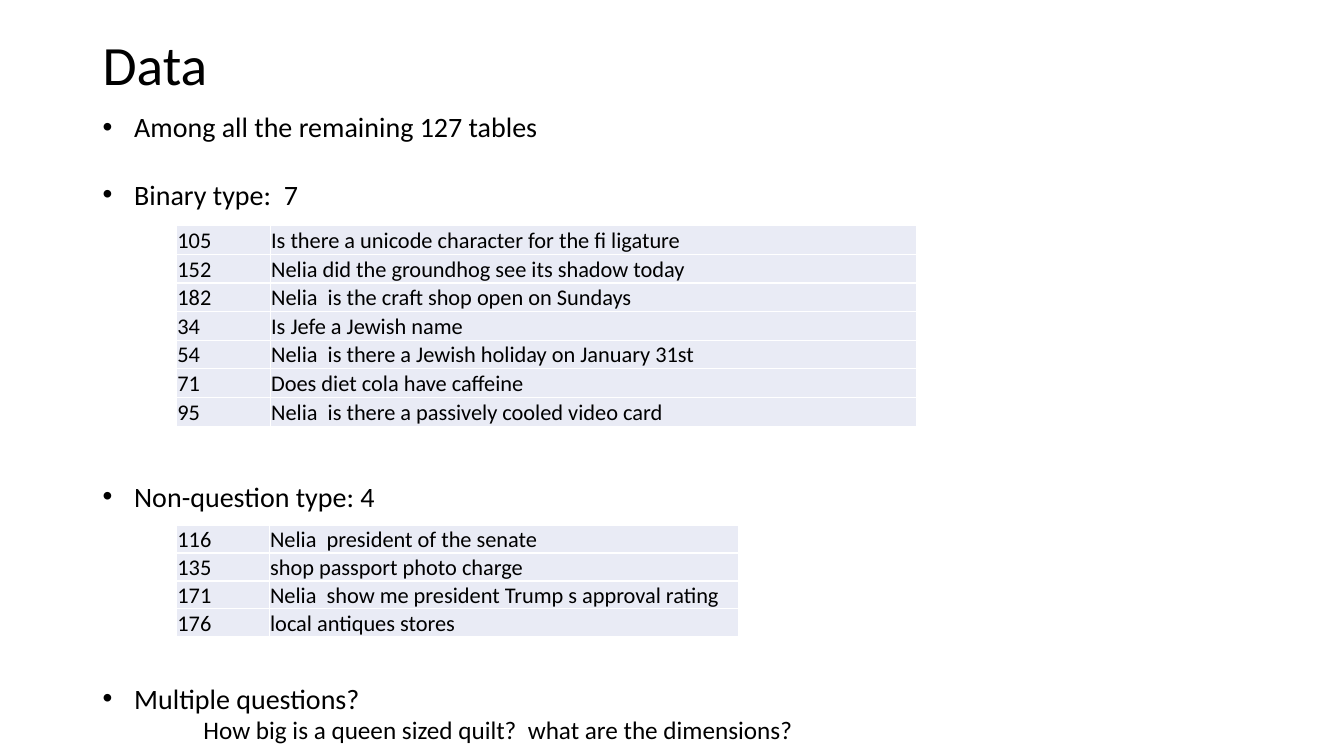
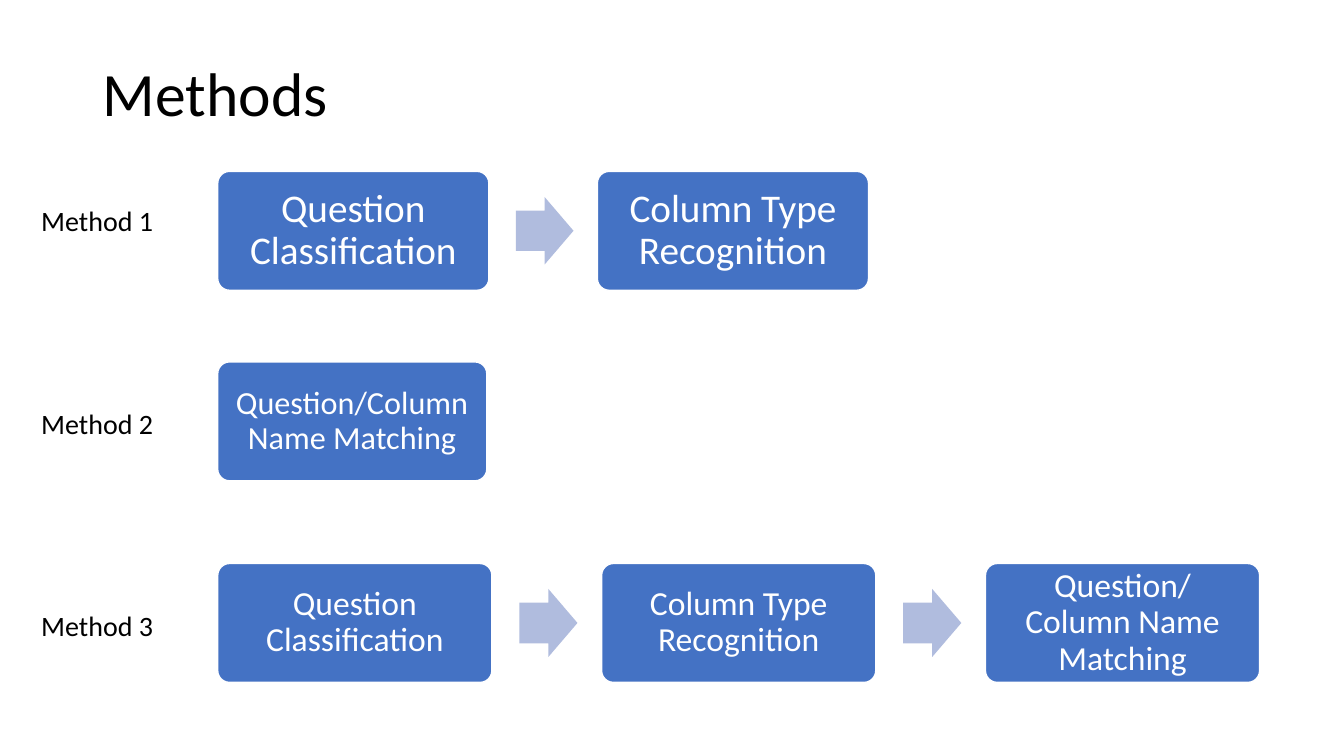
from dataclasses import dataclass

from lxml.etree import SubElement
from pptx import Presentation
from pptx.dml.color import RGBColor as Rgb
from pptx.enum.shapes import MSO_SHAPE as Shape
from pptx.enum.text import MSO_ANCHOR as Anchor, PP_ALIGN as Align
from pptx.oxml import parse_xml
from pptx.oxml.ns import nsdecls, qn
from pptx.util import Inches, Pt


@dataclass(frozen=True)
class Theme:
    font: str = "Calibri"
    ink: Rgb = Rgb(0x00, 0x00, 0x00)
    paper: Rgb = Rgb(0xFF, 0xFF, 0xFF)
    box: Rgb = Rgb(0x44, 0x72, 0xC4)
    arrow: Rgb = Rgb(0xB0, 0xBC, 0xDE)
    band: Rgb = Rgb(0xE9, 0xEB, 0xF5)
    title: float = 44
    small: float = 39.6
    body: float = 20
    sub: float = 18
    cell: float = 16
    leading: float = 24


T = Theme()
COLS, ROWS = 133.33, 75  # grid of tenth-inch cells
EDGE = 9.2  # left column of title and body


def grid(*cells):
    """Turn counts of grid cells into lengths."""
    return [Inches(n / 10) for n in cells]


def put(obj, **vals):
    for name, val in vals.items():
        setattr(obj, name, val)


def pad(obj, left, top, right, low):
    sides = ("margin_left", "margin_top", "margin_right", "margin_bottom")
    put(obj, **dict(zip(sides, grid(left, top, right, low))))


def write(par, text, size, ink=T.ink, **vals):
    """Fill one paragraph with one styled run."""
    run = par.add_run()
    run.text = text
    put(run.font, name=T.font, size=Pt(size))
    run.font.color.rgb = ink
    put(par, **vals)


def label(slide, place, text, size, **vals):
    frame = slide.shapes.add_textbox(*grid(*place)).text_frame
    put(frame, word_wrap=True, vertical_anchor=Anchor.MIDDLE)
    write(frame.paragraphs[0], text, size, **vals)


def title(slide, text, size, high):
    label(slide, (EDGE, 4, 115, high), text, size, line_spacing=0.9)


# Text list: each item is (text, blank lines above, is a bullet)
def points(slide, place, items):
    frame = slide.shapes.add_textbox(*grid(*place)).text_frame
    frame.word_wrap = True
    for i, (text, gap, dot) in enumerate(items):
        par = frame.add_paragraph() if i else frame.paragraphs[0]
        write(par, text, T.body if dot else T.sub,
              space_before=Pt(gap * T.leading))
        props = par._p.get_or_add_pPr()
        left, hang = grid(3.13, -3.13) if dot else grid(10, 0)
        props.set("marL", str(left))
        props.set("indent", str(hang))
        if dot:
            SubElement(props, qn("a:buFont"), typeface="Arial")
            SubElement(props, qn("a:buChar"), char="•")


def rule(cell):
    """Draw thin paper-coloured borders round a cell."""
    props = cell._tc.get_or_add_tcPr()
    for i, side in enumerate(("lnL", "lnR", "lnT", "lnB")):
        props.insert(i, parse_xml(
            f'<a:{side} {nsdecls("a")} w="{Pt(1)}"><a:solidFill>'
            f'<a:srgbClr val="{T.paper}"/></a:solidFill></a:{side}>'))


def table(slide, left, top, wides, high, rows):
    place = grid(left, top, sum(wides), high * len(rows))
    tab = slide.shapes.add_table(len(rows), len(wides), *place).table
    put(tab, first_row=False, horz_banding=False)
    for col, wide in zip(tab.columns, grid(*wides)):
        col.width = wide
    for line, texts in zip(tab.rows, rows):
        line.height = grid(high)[0]
        for cell, text in zip(line.cells, texts):
            pad(cell, 0.1, 0.1, 0.1, 0)
            cell.vertical_anchor = Anchor.BOTTOM
            cell.fill.solid()
            cell.fill.fore_color.rgb = T.band
            rule(cell)
            write(cell.text_frame.paragraphs[0], text, T.cell)


# Flow parts
def block(slide, kind, place, fill, bends):
    shape = slide.shapes.add_shape(kind, *grid(*place))
    shape.shadow.inherit = False
    shape.fill.solid()
    shape.fill.fore_color.rgb = fill
    for i, bend in enumerate(bends):
        shape.adjustments[i] = bend
    return shape


def step(slide, place, text, size, inset):
    box = block(slide, Shape.ROUNDED_RECTANGLE, place, T.box, [0.1])
    box.line.color.rgb = T.paper
    box.line.width = Pt(1)
    frame = box.text_frame
    put(frame, word_wrap=True, vertical_anchor=Anchor.MIDDLE)
    pad(frame, *[inset] * 4)
    write(frame.paragraphs[0], text, size, T.paper,
          alignment=Align.CENTER, line_spacing=0.9)


def flow(slide, top, wide, size, inset, steps):
    """Lay steps in a row; gaps and arrows are shares of the step width."""
    left, high = 21.6, 11.8
    tall = 0.248 * wide
    for i, text in enumerate(steps):
        x = left + i * 1.4 * wide
        if i:
            spot = (x - 0.3 * wide, top + (high - tall) / 2, 0.212 * wide, tall)
            arrow = block(slide, Shape.RIGHT_ARROW, spot, T.arrow, [0.6, 0.5])
            arrow.line.fill.background()
        step(slide, (x, top, wide, high), text, size, inset)


# Slides
def data(slide):
    title(slide, "Data", T.small, 5.4)
    points(slide, (EDGE, 10.4, 104, 64), [
        ("Among all the remaining 127 tables", 0, True),
        ("Binary type:  7", 1, True),
        ("Non-question type: 4", 8, True),
        ("Multiple questions?", 5, True),
        ("How big is a queen sized quilt?  what are the dimensions?", 0, False),
    ])
    table(slide, 17.5, 22.4, (9.3, 64.1), 2.84, [
        ("105", "Is there a unicode character for the fi ligature"),
        ("152", "Nelia did the groundhog see its shadow today"),
        ("182", "Nelia  is the craft shop open on Sundays"),
        ("34", "Is Jefe a Jewish name"),
        ("54", "Nelia  is there a Jewish holiday on January 31st"),
        ("71", "Does diet cola have caffeine"),
        ("95", "Nelia  is there a passively cooled video card"),
    ])
    table(slide, 17.5, 52.1, (9.2, 46.6), 2.75, [
        ("116", "Nelia  president of the senate"),
        ("135", "shop passport photo charge"),
        ("171", "Nelia  show me president Trump s approval rating"),
        ("176", "local antiques stores"),
    ])


def methods(slide):
    title(slide, "Methods", T.title, 11.1)
    sort, kind, match = ("Question Classification", "Column Type Recognition",
                         "Question/Column Name Matching")
    flows = [  # top, step width, type size, inset, steps
        (17, 26.9, 28, 1.55, (sort, kind)),
        (35.9, 26.7, 23, 1.35, (match,)),
        (55.9, 27.2, 24, 1.35, (sort, kind, match)),
    ]
    for i, parts in enumerate(flows):
        label(slide, (3.1, 19.7 + 20.05 * i, 15.1, 4.4),
              f"Method {i + 1}", T.body)
        flow(slide, *parts)


def main():
    deck = Presentation()
    wide, high = grid(COLS, ROWS)
    put(deck, slide_width=wide, slide_height=high)
    for draw in (data, methods):
        draw(deck.slides.add_slide(deck.slide_layouts[6]))
    deck.save("out.pptx")


if __name__ == "__main__":
    main()
